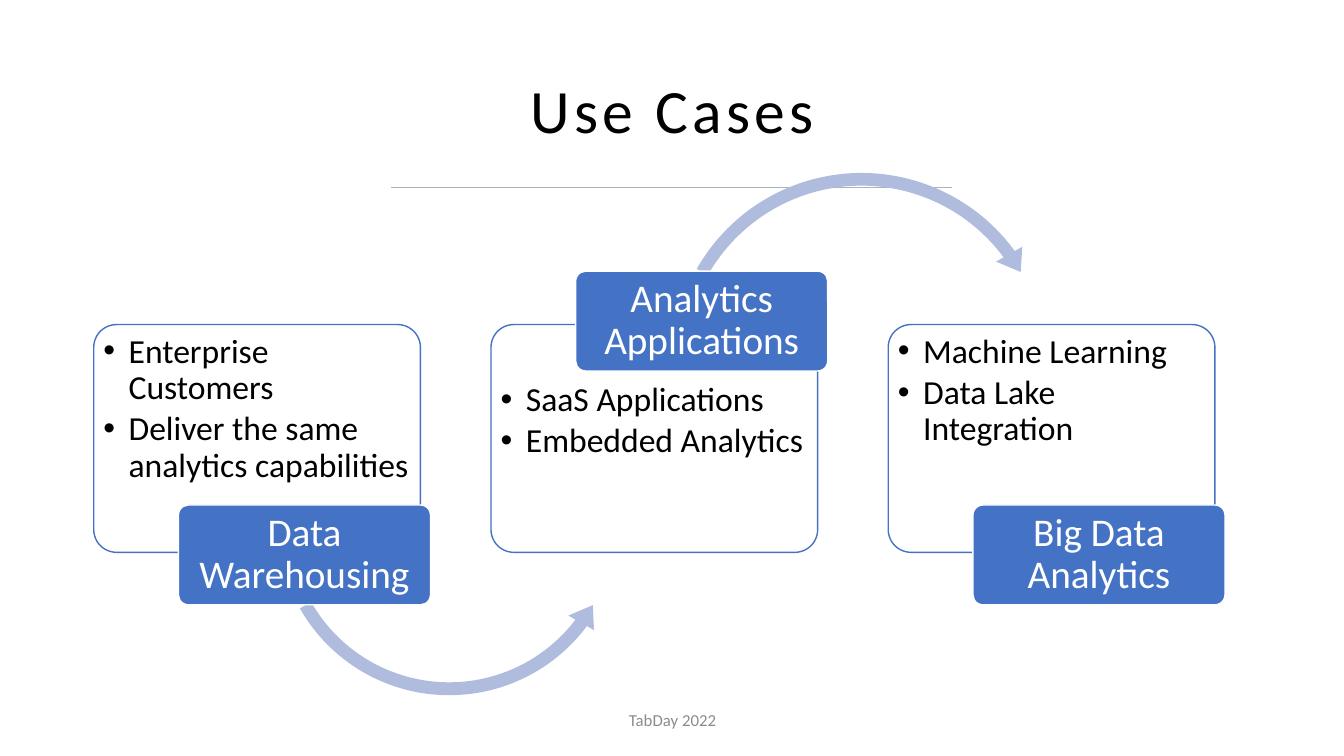
"""Build the Use Cases slide: three panels with labels, linked by curved arrows."""
import dataclasses

import lxml.etree
import pptx
import pptx.dml.color
import pptx.enum.shapes
import pptx.enum.text
import pptx.oxml.ns
import pptx.util

PX = 9144
SHAPES = pptx.enum.shapes.MSO_SHAPE
ALIGN = pptx.enum.text.PP_ALIGN
ANCHOR = pptx.enum.text.MSO_ANCHOR


@dataclasses.dataclass(frozen=True)
class Theme:
    """Colours and type sizes of the slide."""
    font: str = "Calibri"
    ink: str = "000000"
    paper: str = "FFFFFF"
    accent: str = "4472C4"
    arrow: str = "B0BCDE"
    rule: str = "A9B5B8"
    muted: str = "8C8C8C"
    title: int = 44
    label: int = 28
    body: int = 24
    footer: int = 12


THEME = Theme()

FIRST_PANEL, PANEL_PITCH = 93, 394
PANEL_TOP, PANEL_WIDTH, PANEL_HEIGHT = 322, 324, 226
LABEL_SHIFT, LABEL_WIDTH, LABEL_HEIGHT = 84, 250, 99
LABEL_HIGH, LABEL_LOW = 269, 501
BULLET_INDENT = 25

USE_CASES = [
    ("Data Warehousing", LABEL_LOW,
     ["Enterprise Customers", "Deliver the same analytics capabilities"],
     (SHAPES.LEFT_CIRCULAR_ARROW, (267, 341, 357, 357),
      (0.036, 4.418, 22.168, 90.24, 0.041))),
    ("Analytics Applications", LABEL_HIGH,
     ["SaaS Applications", "Embedded Analytics"],
     (SHAPES.CIRCULAR_ARROW, (658, 163, 393, 393),
      (0.032, 3.983, 194.266, 125.759, 0.038))),
    ("Big Data Analytics", LABEL_LOW,
     ["Machine Learning", "Data Lake Integration"], None),
]


def px(*lengths):
    """Turn pixel lengths into EMU."""
    return [pptx.util.Emu(length * PX) for length in lengths]


def colour(code):
    """Return the colour for a hexadecimal code."""
    return pptx.dml.color.RGBColor.from_string(code)


def add_child(parent, tag, **attributes):
    """Append a DrawingML element to a parent element."""
    return lxml.etree.SubElement(parent, pptx.oxml.ns.qn(tag), attributes)


def style_paragraph(para, size, code, align):
    """Set alignment and font of a paragraph."""
    para.alignment = align
    para.font.name = THEME.font
    para.font.size = pptx.util.Pt(size)
    para.font.color.rgb = colour(code)


def set_frame(shape, anchor, insets):
    """Set wrapping, vertical anchor and insets, and return the text frame."""
    frame = shape.text_frame
    frame.word_wrap = True
    frame.vertical_anchor = anchor
    (frame.margin_left, frame.margin_top,
     frame.margin_right, frame.margin_bottom) = px(*insets)
    return frame


def add_text(page, box, text, size, code, tracking=0):
    """Add one centred line of text."""
    shape = page.shapes.add_textbox(*px(*box))
    para = set_frame(shape, ANCHOR.MIDDLE, (10, 5, 10, 5)).paragraphs[0]
    para.line_spacing = 0.9
    style_paragraph(para, size, code, ALIGN.CENTER)
    span = para.add_run()
    span.text = text
    if tracking:
        span.font._element.set("spc", str(tracking * 100))


def add_filled(page, kind, box, fill, line=None, adjustments=()):
    """Add a flat preset shape with a solid fill."""
    shape = page.shapes.add_shape(kind, *px(*box))
    shape.shadow.inherit = False
    shape.fill.solid()
    shape.fill.fore_color.rgb = colour(fill)
    if line:
        shape.line.color.rgb = colour(line)
        shape.line.width = pptx.util.Pt(1)
    else:
        shape.line.fill.background()
    for index, value in enumerate(adjustments):
        shape.adjustments[index] = value
    return shape


def add_panel(page, left, bullets, top_inset):
    """Add an outlined panel holding a bulleted list."""
    box = (left, PANEL_TOP, PANEL_WIDTH, PANEL_HEIGHT)
    panel = add_filled(page, SHAPES.ROUNDED_RECTANGLE, box,
                       THEME.paper, THEME.accent, (0.1,))
    fill = panel.fill._xPr.find(pptx.oxml.ns.qn("a:solidFill"))
    add_child(fill[0], "a:alpha", val="90000")
    frame = set_frame(panel, ANCHOR.TOP, (3, top_inset, 2, 3))
    for index, text in enumerate(bullets):
        para = frame.paragraphs[0] if index == 0 else frame.add_paragraph()
        para.text = text
        para.line_spacing = 0.9
        para.space_after = pptx.util.Pt(THEME.body * 0.15)
        properties = para._p.get_or_add_pPr()
        properties.set("marL", str(BULLET_INDENT * PX))
        properties.set("indent", str(-BULLET_INDENT * PX))
        add_child(properties, "a:buFont", typeface="Arial")
        add_child(properties, "a:buChar", char="•")
        style_paragraph(para, THEME.body, THEME.ink, ALIGN.LEFT)


def add_label(page, left, top, text):
    """Add a solid label with centred text."""
    box = (left, top, LABEL_WIDTH, LABEL_HEIGHT)
    label = add_filled(page, SHAPES.ROUNDED_RECTANGLE, box,
                       THEME.accent, THEME.paper, (0.1,))
    para = set_frame(label, ANCHOR.MIDDLE, (6, 4, 6, 4)).paragraphs[0]
    para.text = text
    para.line_spacing = 0.9
    style_paragraph(para, THEME.label, THEME.paper, ALIGN.CENTER)


def add_rule(page, left, right, top):
    """Add a thin horizontal line."""
    rule = page.shapes.add_connector(
        pptx.enum.shapes.MSO_CONNECTOR.STRAIGHT, *px(left, top, right, top))
    rule.line.color.rgb = colour(THEME.rule)
    rule.line.width = pptx.util.Pt(0.5)
    add_child(rule._element.spPr, "a:effectLst")


def main():
    """Build and save the deck."""
    deck = pptx.Presentation()
    deck.slide_width, deck.slide_height = px(1333, 750)
    page = deck.slides.add_slide(deck.slide_layouts[6])
    add_text(page, (92, 40, 1150, 145), "Use Cases",
             THEME.title, THEME.ink, tracking=3)
    add_text(page, (442, 695, 450, 40), "TabDay 2022",
             THEME.footer, THEME.muted)
    add_rule(page, 388, 944, 186)
    for index, (name, label_top, bullets, arrow) in enumerate(USE_CASES):
        left = FIRST_PANEL + index * PANEL_PITCH
        add_panel(page, left, bullets, 51 if label_top == LABEL_HIGH else 3)
        if arrow:
            kind, box, adjustments = arrow
            add_filled(page, kind, box, THEME.arrow, adjustments=adjustments)
        add_label(page, left + LABEL_SHIFT, label_top, name)
    deck.save("out.pptx")


if __name__ == "__main__":
    main()
